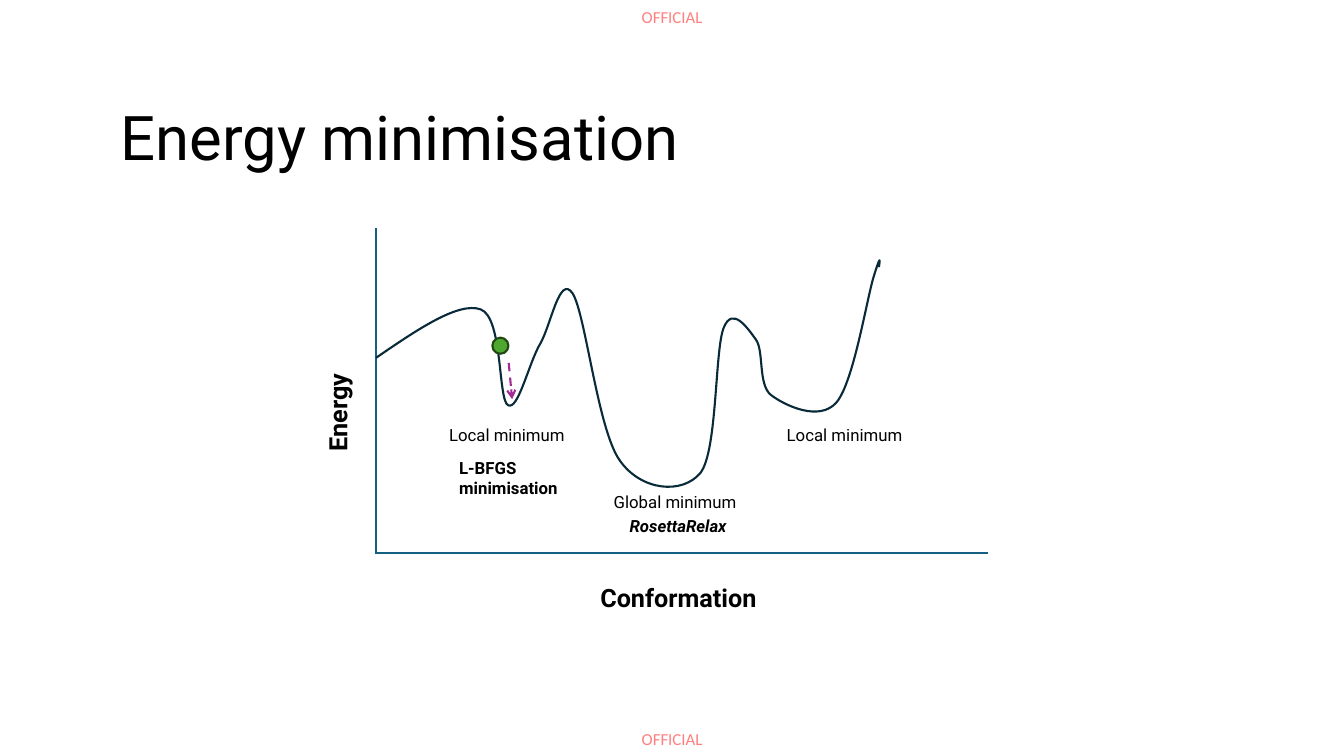
from dataclasses import dataclass

from lxml.etree import SubElement
from pptx import Presentation
from pptx.dml.color import RGBColor
from pptx.enum.dml import MSO_LINE
from pptx.enum.shapes import MSO_CONNECTOR, MSO_SHAPE
from pptx.enum.text import MSO_ANCHOR, MSO_AUTO_SIZE, PP_ALIGN
from pptx.oxml.ns import qn
from pptx.util import Pt


@dataclass(frozen=True)
class Theme:
    font: str = "Roboto"
    mark_font: str = "Calibri"
    text: str = "000000"
    mark: str = "FF0000"
    axis: str = "156082"
    curve: str = "092A39"
    ball: str = "4EA72E"
    ball_edge: str = "224914"
    step: str = "A02B93"
    title_size: int = 44
    axis_size: int = 18
    label_size: int = 12
    line_width: float = 1.5


THEME = Theme()
UNITS = 100  # path units per point


def write(tf, text, size=THEME.label_size, font=THEME.font, color=THEME.text,
          bold=False, italic=False, spacing=None, opacity=None):
    """Put one formatted run into a text frame."""
    p = tf.paragraphs[0]
    p.alignment = PP_ALIGN.LEFT
    if spacing:
        p.line_spacing = spacing
    r = p.add_run()
    r.text = text
    r.font.name, r.font.size = font, Pt(size)
    r.font.bold, r.font.italic = bold, italic
    r.font.color.rgb = RGBColor.from_string(color)
    if opacity:
        clr = r.font.fill._xPr.find(".//" + qn("a:srgbClr"))
        SubElement(clr, qn("a:alpha")).set("val", str(opacity * 1000))


class Slide:
    def __init__(self, prs, theme):
        self.theme = theme
        self.s = prs.slides.add_slide(prs.slide_layouts[5])

    def stroke(self, line, color):
        line.color.rgb = RGBColor.from_string(color)
        line.width = Pt(self.theme.line_width)

    def title(self, text, x, y, w, h):
        sp = self.s.shapes.title
        sp.left, sp.top, sp.width, sp.height = Pt(x), Pt(y), Pt(w), Pt(h)
        tf = sp.text_frame
        tf.auto_size = MSO_AUTO_SIZE.NONE
        tf.vertical_anchor = MSO_ANCHOR.MIDDLE
        write(tf, text, size=self.theme.title_size, spacing=0.9)

    def label(self, text, x, y, w, h, wrap=False, inset=True, rotation=0, **fmt):
        sp = self.s.shapes.add_textbox(Pt(x), Pt(y), Pt(w), Pt(h))
        sp.rotation = rotation
        tf = sp.text_frame
        tf.word_wrap = wrap
        tf.auto_size = MSO_AUTO_SIZE.SHAPE_TO_FIT_TEXT
        if not inset:
            tf.margin_left = tf.margin_top = tf.margin_right = tf.margin_bottom = 0
        write(tf, text, **fmt)

    def line(self, x1, y1, x2, y2, color, dashed_arrow=False):
        sp = self.s.shapes.add_connector(
            MSO_CONNECTOR.STRAIGHT, Pt(x1), Pt(y1), Pt(x2), Pt(y2))
        self.stroke(sp.line, color)
        if dashed_arrow:
            sp.line.dash_style = MSO_LINE.DASH
            SubElement(sp.line._get_or_add_ln(), qn("a:tailEnd")).set("type", "arrow")
        SubElement(sp._element.spPr, qn("a:effectLst"))

    def curve(self, left, top, right, bottom, start, segments, color):
        """Draw cubic segments inside a frame given by its edges."""
        fb = self.s.shapes.build_freeform(
            left * UNITS, top * UNITS, scale=Pt(1) / UNITS)
        fb.add_line_segments([(right * UNITS, bottom * UNITS)], close=False)
        sp = fb.convert_to_shape()
        outline = sp._element.find(".//" + qn("a:path"))
        for child in list(outline):
            outline.remove(child)
        commands = [("a:moveTo", [start])]
        commands += [("a:cubicBezTo", points) for points in segments]
        for tag, points in commands:
            command = SubElement(outline, qn(tag))
            for x, y in points:
                pt = SubElement(command, qn("a:pt"))
                pt.set("x", str(round((x - left) * UNITS)))
                pt.set("y", str(round((y - top) * UNITS)))
        sp.shadow.inherit = False
        sp.fill.background()
        self.stroke(sp.line, color)

    def ball(self, x, y, size, fill, edge):
        sp = self.s.shapes.add_shape(MSO_SHAPE.OVAL, Pt(x), Pt(y), Pt(size), Pt(size))
        sp.shadow.inherit = False
        sp.fill.solid()
        sp.fill.fore_color.rgb = RGBColor.from_string(fill)
        self.stroke(sp.line, edge)


def main():
    prs = Presentation()
    prs.slide_width, prs.slide_height = Pt(960), Pt(540)
    s = Slide(prs, THEME)

    # Classification marks and title
    for y in (5, 520.6):
        s.label("OFFICIAL", 458.4, y, 46, 14.4, wrap=True, inset=False,
                font=THEME.mark_font, color=THEME.mark, opacity=50)
    s.title("Energy minimisation", 79.2, 67, 702, 67)

    # Axes and their names
    s.line(268.3, 162.7, 268.3, 395.3, THEME.axis)
    s.line(267.8, 395.3, 705.6, 395.3, THEME.axis)
    axis_name = dict(size=THEME.axis_size, bold=True)
    s.label("Energy", 203.5, 275, 77.8, 31.7, rotation=270, **axis_name)
    s.label("Conformation", 421.7, 412.6, 129.6, 28.8, **axis_name)

    # Energy landscape: two control points and an end point per segment
    s.curve(268.6, 185.8, 627.8, 347.8, (268.6, 255.6), [
        ((298.1, 235.4), (327.6, 215.3), (343.4, 221)),
        ((359.3, 226.8), (355.7, 285.8), (362.9, 289.4)),
        ((370.1, 293.8), (378, 258.5), (385.9, 245.5)),
        ((393.8, 231.8), (399.6, 195.8), (409, 209.5)),
        ((418.3, 223.9), (427, 307.4), (442.8, 329)),
        ((457.9, 350.6), (487.4, 353.5), (500.4, 337.7)),
        ((512.6, 321.8), (510.5, 249.8), (517, 234)),
        ((523.4, 218.2), (534.2, 234.7), (540, 242.6)),
        ((545.8, 250.6), (541.4, 275), (550.8, 282.2)),
        ((560.2, 289.4), (585.4, 301.7), (597.6, 287.3)),
        ((609.8, 272.9), (619.2, 213.1), (624.2, 197.3)),
        ((629.3, 180.7), (628.6, 185.8), (627.8, 190.8)),
    ], THEME.curve)

    # Minima
    s.label("Global minimum", 431.3, 347.8, 110.9, 23.8)
    for x in (313.7, 554.9):
        s.label("Local minimum", x, 300.2, 103.7, 23.8)

    # Ball moving downhill
    s.ball(351.7, 241.2, 11.5, THEME.ball, THEME.ball_edge)
    s.line(363.4, 259.2, 365.8, 285.1, THEME.step, dashed_arrow=True)

    # Methods
    s.label("RosettaRelax", 442.6, 364.7, 87.8, 21.6, bold=True, italic=True)
    s.label("L-BFGS minimisation", 320.9, 323.3, 103.7, 40.3, wrap=True, bold=True)

    prs.save("out.pptx")


if __name__ == "__main__":
    main()
